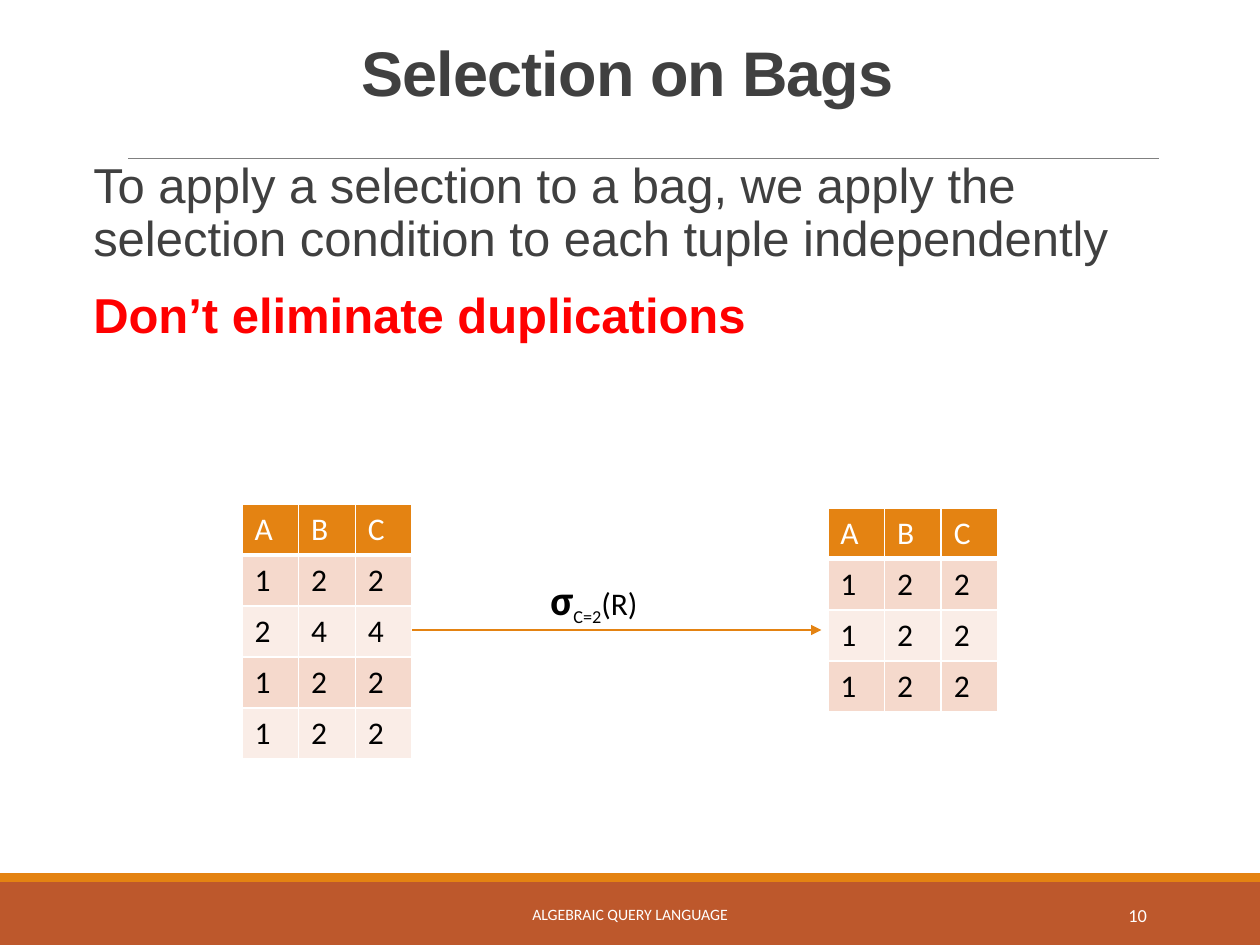
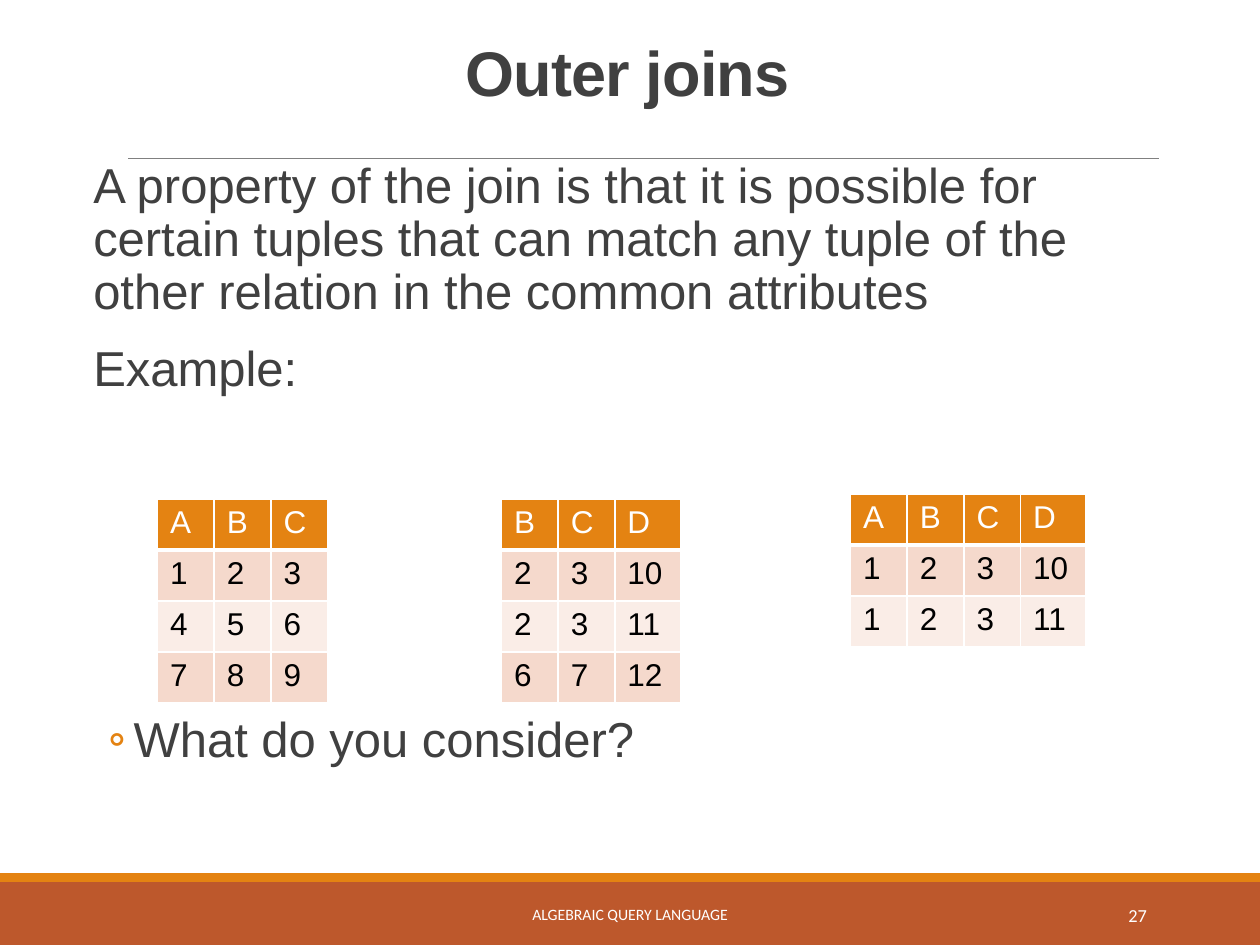
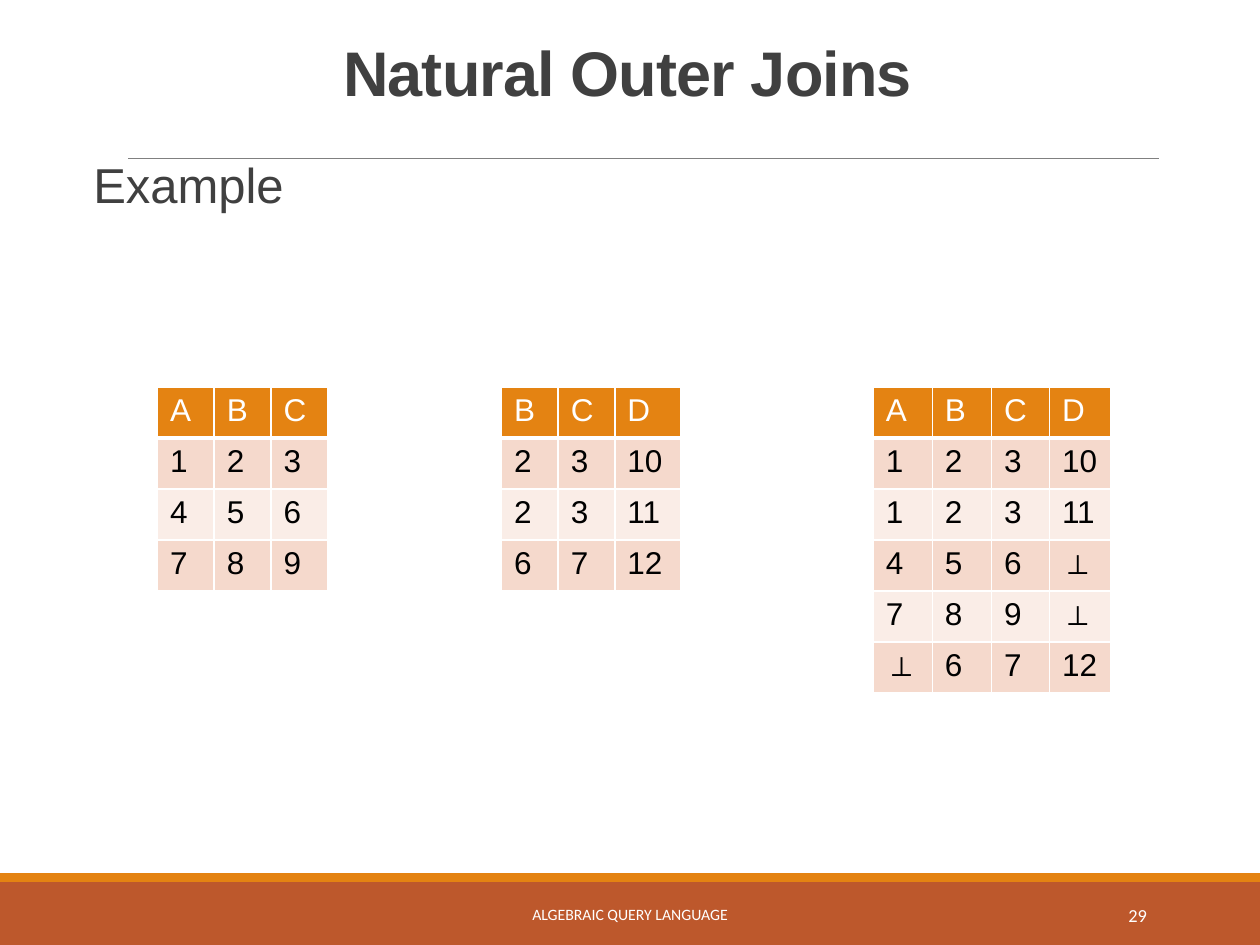
from dataclasses import dataclass

from lxml import etree
from pptx import Presentation
from pptx.dml.color import RGBColor
from pptx.enum.shapes import MSO_CONNECTOR, MSO_SHAPE
from pptx.enum.text import MSO_ANCHOR, PP_ALIGN
from pptx.oxml.ns import qn
from pptx.util import Inches, Pt

RECT = MSO_SHAPE.RECTANGLE
STRAIGHT = MSO_CONNECTOR.STRAIGHT
LEFT, CENTER, RIGHT = PP_ALIGN.LEFT, PP_ALIGN.CENTER, PP_ALIGN.RIGHT
TOP, MIDDLE = MSO_ANCHOR.TOP, MSO_ANCHOR.MIDDLE

WHITE = RGBColor(0xFF, 0xFF, 0xFF)
BLACK = RGBColor(0, 0, 0)
RED = RGBColor(0xFF, 0, 0)
GRAY = RGBColor(0x80, 0x80, 0x80)
DARK = RGBColor(0x40, 0x40, 0x40)
ORANGE = RGBColor(0xE4, 0x83, 0x12)
RUST = RGBColor(0xBD, 0x58, 0x2C)
ROW_FILLS = (RGBColor(0xF5, 0xD9, 0xCC), RGBColor(0xFA, 0xED, 0xE7))

SANS, THEME = "Arial", "Calibri"
FOOTER = "ALGEBRAIC QUERY LANGUAGE"
ROW_H = Inches(2.43) // 6
NARROW = 0.45
ABC = (NARROW,) * 3
BCD = (NARROW, NARROW, 0.52)


@dataclass(frozen=True)
class Relation:
    """A table; rows are space-separated values, the header first."""
    left: float
    top: float
    rows: tuple[str, ...]
    widths: tuple[float, ...] = ABC
    font: str = SANS


@dataclass(frozen=True)
class Line:
    text: str
    color: RGBColor = DARK
    bold: bool = False


@dataclass(frozen=True)
class Page:
    title: str
    number: int
    body: tuple[Line, ...]
    relations: tuple[Relation, ...]


R_ROWS = ("A B C", "1 2 3", "4 5 6", "7 8 9")
S_ROWS = ("B C D", "2 3 10", "2 3 11", "6 7 12")


def operands(top: float) -> tuple[Relation, Relation]:
    """The two relations that are joined, side by side."""
    return Relation(1.25, top, R_ROWS), Relation(3.98, top, S_ROWS, BCD)


PAGES = (
    Page("Selection on Bags", 10,
         (Line("To apply a selection to a bag, we apply the selection "
               "condition to each tuple independently"),
          Line("Don’t eliminate duplications", RED, True)),
         (Relation(1.92, 4, ("A B C", "1 2 2", "2 4 4", "1 2 2", "1 2 2"),
                   font=THEME),
          Relation(6.57, 4.03, ("A B C", "1 2 2", "1 2 2", "1 2 2"),
                   font=THEME))),
    Page("Outer joins", 27,
         (Line("A property of the join is that it is possible for certain "
               "tuples that can match any tuple of the other relation in the "
               "common attributes"),
          Line("Example:")),
         (*operands(3.96),
          Relation(6.75, 3.92, ("A B C D", "1 2 3 10", "1 2 3 11"),
                   (NARROW, *BCD)))),
    Page("Natural Outer Joins", 29,
         (Line("Example"),),
         (*operands(3.07),
          Relation(6.93, 3.07,
                   ("A B C D", "1 2 3 10", "1 2 3 11", "4 5 6 ⊥", "7 8 9 ⊥",
                    "⊥ 6 7 12"),
                   (0.47, 0.47, 0.46, 0.49)))),
)


def add_text(p, text: str, *, size: float, font: str = SANS,
             color: RGBColor = DARK, bold: bool = False, align=LEFT,
             spacing: float | None = None, before: float = 0,
             after: float = 0, **attrs: str) -> None:
    """Add a formatted run to p; attrs go on the run properties."""
    p.alignment = align
    p.space_before, p.space_after = Pt(before), Pt(after)
    if spacing:
        p.line_spacing = spacing
    r = p.add_run()
    r.text = text
    r.font.size, r.font.name = Pt(size), font
    r.font.bold, r.font.color.rgb = bold, color
    for name, value in attrs.items():
        r.font._element.set(name, value)


def add_box(s, left: float, top: float, width: float, height: float, *,
            anchor=TOP, wrap: bool = True, side: float = 0.1):
    """Add an empty text box and return its text frame."""
    tf = s.shapes.add_textbox(Inches(left), Inches(top), Inches(width),
                              Inches(height)).text_frame
    tf.word_wrap, tf.vertical_anchor = wrap, anchor
    tf.margin_left = tf.margin_right = Inches(side)
    return tf


def indent(p, left: float, first: float = 0) -> None:
    pPr = p._p.get_or_add_pPr()
    pPr.set("marL", str(Inches(left)))
    pPr.set("indent", str(Inches(first)))


def add_band(s, top: float, height: float, color: RGBColor) -> None:
    sp = s.shapes.add_shape(RECT, 0, Inches(top), Inches(10), Inches(height))
    sp.shadow.inherit = False
    sp.fill.solid()
    sp.fill.fore_color.rgb = color
    sp.line.fill.background()


def add_line(s, x1: float, x2: float, y: float, color: RGBColor,
             width: float, arrow: bool = False) -> None:
    c = s.shapes.add_connector(STRAIGHT, Inches(x1), Inches(y), Inches(x2),
                               Inches(y))
    c.line.color.rgb, c.line.width = color, Pt(width)
    if arrow:
        etree.SubElement(c.line._get_or_add_ln(), qn("a:tailEnd"),
                         type="triangle")
    etree.SubElement(c._element.spPr, qn("a:effectLst"))


def format_cell(cell, fill: RGBColor, bottom: float) -> None:
    """Give a cell white borders, then its fill."""
    tcPr = cell._tc.get_or_add_tcPr()
    for side, width in (("L", 1), ("R", 1), ("T", 1), ("B", bottom)):
        ln = etree.SubElement(tcPr, qn(f"a:ln{side}"), w=str(Pt(width)))
        solid = etree.SubElement(ln, qn("a:solidFill"))
        etree.SubElement(solid, qn("a:srgbClr"), val=str(WHITE))
    cell.fill.solid()
    cell.fill.fore_color.rgb = fill


def add_relation(s, rel: Relation) -> None:
    count = len(rel.rows)
    table = s.shapes.add_table(
        count, len(rel.widths), Inches(rel.left), Inches(rel.top),
        Inches(sum(rel.widths)), ROW_H * count).table
    for column, width in zip(table.columns, rel.widths):
        column.width = Inches(width)
    for i, row in enumerate(rel.rows):
        table.rows[i].height = ROW_H
        header = i == 0
        fill = ORANGE if header else ROW_FILLS[(i - 1) % 2]
        for j, value in enumerate(row.split()):
            cell = table.cell(i, j)
            format_cell(cell, fill, 3 if header else 1)
            add_text(cell.text_frame.paragraphs[0], value, size=18,
                     font=rel.font, color=WHITE if header else BLACK)


def add_page(prs, page: Page):
    """Add a slide with the shared frame, its text and its relations."""
    s = prs.slides.add_slide(prs.slide_layouts[6])
    # Bands and title rule
    add_band(s, 7, 0.5, RUST)
    add_band(s, 6.93, 0.07, ORANGE)
    add_line(s, 1.02, 9.2, 1.26, GRAY, 0.5)
    # Body
    tf = add_box(s, 0.64, 1.23, 8.68, 5.54, side=0)
    for i, line in enumerate(page.body):
        p = tf.add_paragraph() if i else tf.paragraphs[0]
        indent(p, 0.1)
        add_text(p, line.text, size=28, color=line.color, bold=line.bold,
                 spacing=0.9, before=12 if i else 0, after=2)
    # Title
    tf = add_box(s, 0.64, 0.31, 8.68, 0.92)
    add_text(tf.paragraphs[0], page.title, size=36, bold=True, align=CENTER,
             spacing=0.85, spc="-50")
    # Relations
    for rel in page.relations:
        add_relation(s, rel)
    # Footer and slide number
    tf = add_box(s, 3.02, 7.06, 3.96, 0.4, anchor=MIDDLE)
    add_text(tf.paragraphs[0], FOOTER, size=9, font=THEME, color=WHITE,
             align=CENTER)
    tf = add_box(s, 8.12, 7.06, 1.08, 0.4, anchor=MIDDLE)
    add_text(tf.paragraphs[0], str(page.number), size=10.5, font=THEME,
             color=WHITE, align=RIGHT)
    return s


def add_selection_arrow(s) -> None:
    add_line(s, 3.27, 6.52, 5, ORANGE, 1.5, arrow=True)
    p = add_box(s, 4.27, 4.5, 1.08, 0.5, wrap=False).paragraphs[0]
    add_text(p, "σ", size=24, font=THEME, color=BLACK, bold=True)
    add_text(p, "C=2", size=18, font=THEME, color=BLACK, baseline="-25000")
    add_text(p, "(R)", size=18, font=THEME, color=BLACK)


def add_question(s) -> None:
    p = add_box(s, 0.64, 5.63, 8.68, 0.5, side=0).paragraphs[0]
    indent(p, 0.42, -0.2)
    pPr = p._p.get_or_add_pPr()
    color = etree.SubElement(pPr, qn("a:buClr"))
    etree.SubElement(color, qn("a:srgbClr"), val=str(ORANGE))
    etree.SubElement(pPr, qn("a:buFont"), typeface=THEME)
    etree.SubElement(pPr, qn("a:buChar"), char="◦")
    add_text(p, "What do you consider?", size=28, spacing=0.9, after=4)


def main() -> None:
    prs = Presentation()
    prs.slide_width, prs.slide_height = Inches(10), Inches(7.5)
    selection, outer, _ = [add_page(prs, page) for page in PAGES]
    add_selection_arrow(selection)
    add_question(outer)
    prs.save("out.pptx")


if __name__ == "__main__":
    main()
